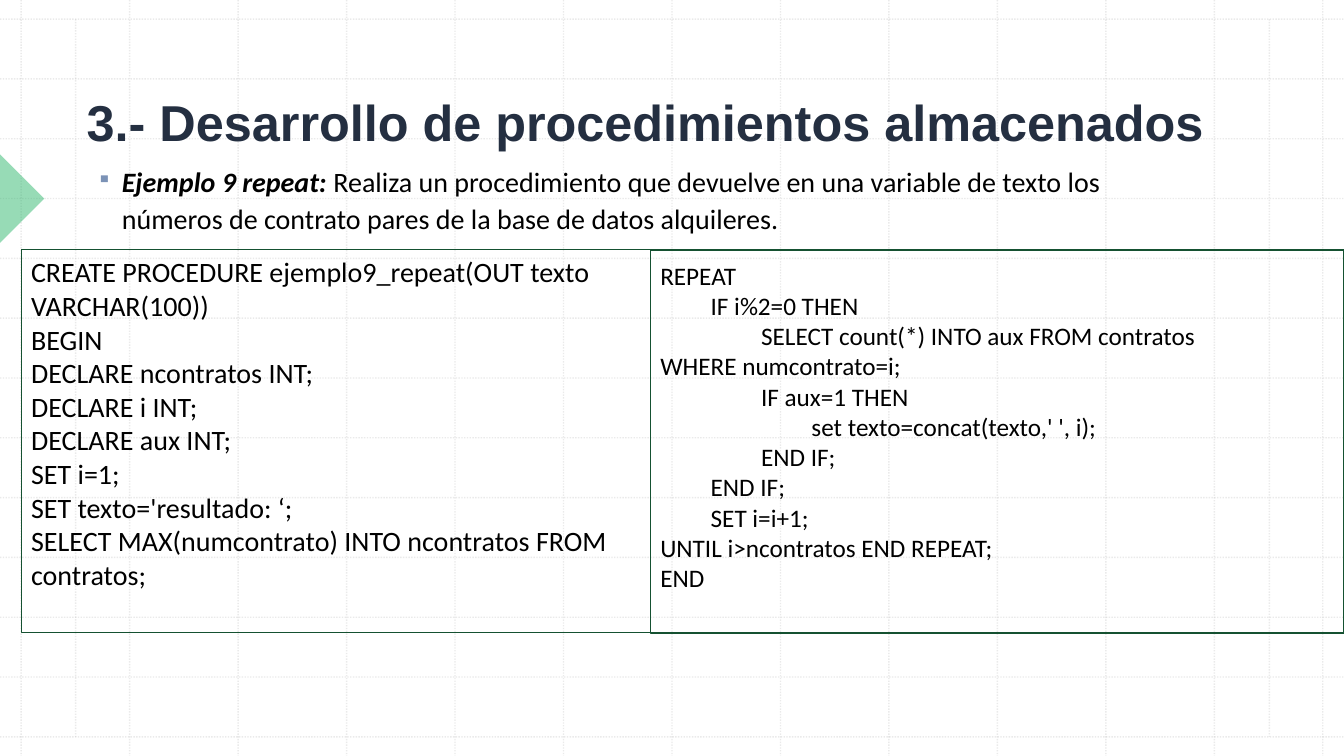
from lxml import etree
from pptx import Presentation
from pptx.dml.color import RGBColor
from pptx.enum.dml import MSO_LINE
from pptx.enum.shapes import MSO_CONNECTOR, MSO_SHAPE
from pptx.enum.text import MSO_ANCHOR, MSO_AUTO_SIZE, PP_ALIGN
from pptx.oxml.ns import qn
from pptx.util import Inches, Pt

STRAIGHT = MSO_CONNECTOR.STRAIGHT
RECTANGLE = MSO_SHAPE.RECTANGLE
RIGHT_TRIANGLE = MSO_SHAPE.RIGHT_TRIANGLE
DOTTED = MSO_LINE.ROUND_DOT
TOP, MIDDLE, BOTTOM = MSO_ANCHOR.TOP, MSO_ANCHOR.MIDDLE, MSO_ANCHOR.BOTTOM
LEFT = PP_ALIGN.LEFT
FIXED_SIZE = MSO_AUTO_SIZE.NONE

WIDTH, HEIGHT = 13.33, 7.5
GRID_LEFT, GRID_TOP = 0.21, 0.19
GRID_STEPS = 12
COLUMN = (WIDTH - 2 * GRID_LEFT) / GRID_STEPS
ROW = (HEIGHT - 2 * GRID_TOP) / GRID_STEPS
CODE_TOP, CODE_HEIGHT = 2.48, 3.8
CODE_SPLIT = 6.45


def paint(color_format, color, opacity=100):
    color_format.rgb = RGBColor.from_string(color)
    if opacity < 100:
        for node in color_format._xFill.iter(qn("a:srgbClr")):
            etree.SubElement(node, qn("a:alpha"), val=str(opacity * 1000))


def style(paragraph, size, font_name="Calibri", color="000000"):
    paragraph.alignment = LEFT
    paragraph.font.size = Pt(size)
    paragraph.font.name = font_name
    paint(paragraph.font.color, color)


presentation = Presentation()
presentation.slide_width = Inches(WIDTH)
presentation.slide_height = Inches(HEIGHT)
slide = presentation.slides.add_slide(presentation.slide_layouts[5])
shapes = slide.shapes

column_lines = [(GRID_LEFT + i * COLUMN, 0, HEIGHT) for i in range(GRID_STEPS + 1)]
margin_lines = [(x, GRID_TOP, HEIGHT - GRID_TOP) for x in (0.75, 12.59)]
grid_lines = [(x, top, x, bottom) for x, top, bottom in column_lines + margin_lines]
for i in range(GRID_STEPS + 1):
    y = GRID_TOP + i * ROW
    grid_lines.append((0, y, WIDTH, y))

for ends in grid_lines:
    grid_line = shapes.add_connector(STRAIGHT, *[Inches(end) for end in ends])
    grid_line.line.width = Pt(1)
    grid_line.line.dash_style = DOTTED
    grid_line.line.fill.solid()
    paint(grid_line.line.fill.fore_color, "BCBCBC", 30)
    etree.SubElement(grid_line._element.spPr, qn("a:effectLst"))

marker = shapes.add_shape(
    RIGHT_TRIANGLE, Inches(-0.31), Inches(1.66), Inches(0.62), Inches(0.62)
)
marker.rotation = 225
marker.shadow.inherit = False
marker.line.fill.background()
marker.fill.solid()
paint(marker.fill.fore_color, "31B86F", 50)

title = shapes.title
title.left, title.top = Inches(0.76), Inches(0.79)
title.width, title.height = Inches(11.29), Inches(0.76)
title.text_frame.text = "3.- Desarrollo de procedimientos almacenados"
title.text_frame.vertical_anchor = BOTTOM
title.text_frame.auto_size = FIXED_SIZE
style(title.text_frame.paragraphs[0], 36, "Arial", "242F41")
title.text_frame.paragraphs[0].font.bold = True
shapes._spTree.append(title._element)

statement = shapes.add_textbox(Inches(0.86), Inches(1.55), Inches(10.55), Inches(0.93))
statement.text_frame.word_wrap = True
paragraph = statement.text_frame.paragraphs[0]
lead = paragraph.add_run()
lead.text = "Ejemplo 9 repeat: "
lead.font.bold = lead.font.italic = True
paragraph.add_run().text = (
    "Realiza un procedimiento que devuelve en una variable de texto los "
    "números de contrato pares de la base de datos alquileres."
)
style(paragraph, 20)
paragraph.line_spacing = 1.1
paragraph.space_before = Pt(10)
properties = paragraph._p.get_or_add_pPr()
properties.set("marL", str(Inches(0.25)))
properties.set("indent", str(Inches(-0.25)))
bullet_color = etree.Element(qn("a:buClr"))
etree.SubElement(bullet_color, qn("a:srgbClr"), val="7B92B6")
bullet_size = etree.Element(qn("a:buSzPct"), val="75000")
bullet = etree.Element(qn("a:buChar"), char="▪")
for position, node in enumerate((bullet_color, bullet_size, bullet), start=2):
    properties.insert(position, node)

declarations = [
    "CREATE PROCEDURE ejemplo9_repeat(OUT texto VARCHAR(100))",
    "BEGIN",
    "DECLARE ncontratos INT;",
    "DECLARE i INT;",
    "DECLARE aux INT;",
    "SET i=1;",
    "SET texto='resultado: ‘;",
    "SELECT MAX(numcontrato) INTO ncontratos FROM contratos;",
]
repeat_loop = [
    "REPEAT",
    "\tIF i%2=0 THEN",
    "\t\tSELECT count(*) INTO aux FROM contratos \t\tWHERE numcontrato=i;",
    "\t\tIF aux=1 THEN",
    "\t\t\tset texto=concat(texto,' ', i);",
    "\t\tEND IF;",
    "\tEND IF;",
    "\tSET i=i+1;",
    "UNTIL i>ncontratos END REPEAT;",
    "END",
]
code_boxes = [
    (GRID_LEFT, CODE_SPLIT, declarations, 20, TOP, 0.05, 0.75),
    (CODE_SPLIT, WIDTH, repeat_loop, 18, MIDDLE, 0.35, 1),
]
for left, right, code, size, anchor, bottom_margin, line_width in code_boxes:
    box = shapes.add_shape(
        RECTANGLE, Inches(left), Inches(CODE_TOP), Inches(right - left), Inches(CODE_HEIGHT)
    )
    box.shadow.inherit = False
    box.fill.background()
    paint(box.line.color, "155131")
    box.line.width = Pt(line_width)
    frame = box.text_frame
    frame.word_wrap = True
    frame.vertical_anchor = anchor
    frame.margin_bottom = Inches(bottom_margin)
    frame.text = "\n".join(code)
    for paragraph in frame.paragraphs:
        style(paragraph, size)

presentation.save("out.pptx")
